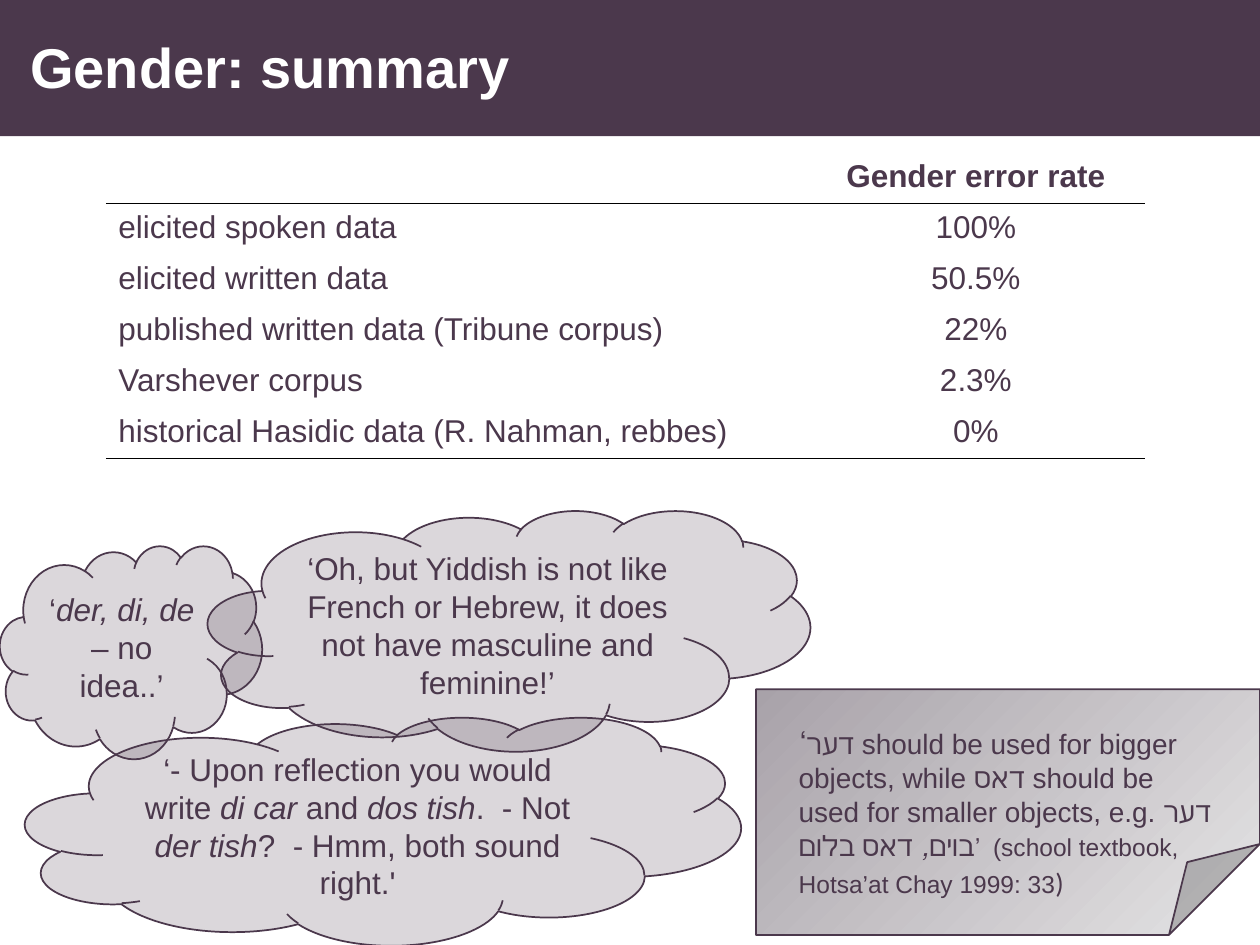
import pptx
import pptx.dml.color
import pptx.enum.dml
import pptx.enum.shapes
import pptx.enum.text
import pptx.oxml
import pptx.oxml.ns
import pptx.util
from pptx.util import Inches

PLUM = "4B384C"
WHITE = "FFFFFF"
NO_STYLE = "{2D5ABB26-0587-4C30-8999-92F81FD0307C}"
NAMESPACE = pptx.oxml.ns.nsdecls("a")
SHAPES = pptx.enum.shapes.MSO_SHAPE
ALIGN = pptx.enum.text.PP_ALIGN
ANCHOR = pptx.enum.text.MSO_ANCHOR


def rgb(value):
    return pptx.dml.color.RGBColor.from_string(value)


def add_run(paragraph, text, size=18, font="Arial", color=PLUM, bold=False, italic=False):
    run = paragraph.add_run()
    run.text = text
    run.font.size = pptx.util.Pt(size)
    run.font.name = font
    run.font.color.rgb = rgb(color)
    run.font.bold = bold
    run.font.italic = italic


presentation = pptx.Presentation()
presentation.slide_width = Inches(10)
presentation.slide_height = Inches(7.5)
slide = presentation.slides.add_slide(presentation.slide_layouts[5])
shapes = slide.shapes

# Header band, placed behind the title
band = shapes.add_shape(SHAPES.RECTANGLE, 0, 0, Inches(10), Inches(1.08))
band.shadow.inherit = False
band.fill.solid()
band.fill.fore_color.rgb = rgb(PLUM)
band.line.fill.background()
title = shapes.title
band._element.addnext(title._element)

title.left, title.top = Inches(0.24), Inches(0.31)
title.width, title.height = Inches(6), Inches(0.43)
heading = title.text_frame
heading.margin_left = heading.margin_right = heading.margin_top = heading.margin_bottom = 0
heading.vertical_anchor = ANCHOR.MIDDLE
heading.paragraphs[0].alignment = ALIGN.LEFT
add_run(heading.paragraphs[0], "Gender: summary", size=32, color=WHITE, bold=True)

# Textbook page
page = shapes.add_shape(SHAPES.FOLDED_CORNER, Inches(6), Inches(5.47), Inches(4), Inches(1.95))
page.shadow.inherit = False
fold = page._element.spPr.find(".//" + pptx.oxml.ns.qn("a:avLst"))
fold.append(pptx.oxml.parse_xml(f'<a:gd {NAMESPACE} name="adj" fmla="val 37000"/>'))
page.fill.gradient()
page.fill.gradient_angle = 315
for stop, shade in zip(page.fill.gradient_stops, ("A8A2A9", "E5E4E5")):
    stop.color.rgb = rgb(shade)
page.line.color.rgb = rgb(PLUM)
page.line.width = pptx.util.Pt(1)

# Speakers' remarks: place, then (text, italic) pieces
remarks = [
    ((0, 4.33, 2.08, 1.69),
     [("‘", False), ("der, di, de ", True), ("– no idea..’", False)]),
    ((1.65, 4.05, 4.78, 1.91),
     [("‘Oh, but Yiddish is not like French or Hebrew, it does not have "
       "masculine and feminine!’", False)]),
    ((0.2, 5.69, 5.68, 1.81),
     [("‘- Upon reflection you would write ", False), ("di car", True), (" and ", False),
      ("dos tish", True), (".  - Not ", False), ("der tish", True),
      ("?  - Hmm, both sound right.'", False)]),
]
for place, pieces in remarks:
    cloud = shapes.add_shape(SHAPES.CLOUD, *map(Inches, place))
    cloud.shadow.inherit = False
    cloud.fill.solid()
    cloud.fill.fore_color.rgb = rgb(PLUM)
    tint = cloud._element.spPr.find(".//" + pptx.oxml.ns.qn("a:srgbClr"))
    tint.append(pptx.oxml.parse_xml(f'<a:alpha {NAMESPACE} val="20000"/>'))
    cloud.line.color.rgb = rgb(PLUM)
    cloud.line.width = pptx.util.Pt(1)
    cloud.text_frame.word_wrap = True
    cloud.text_frame.vertical_anchor = ANCHOR.MIDDLE
    remark = cloud.text_frame.paragraphs[0]
    remark.alignment = ALIGN.CENTER
    for text, italic in pieces:
        add_run(remark, text, italic=italic)

quotation = shapes.add_textbox(Inches(6.24), Inches(5.69), Inches(3.49), Inches(1.51)).text_frame
quotation.word_wrap = True
rule = quotation.paragraphs[0]
add_run(rule, "‘")
add_run(rule, "דער should be used for bigger objects, while דאס should be used for "
              "smaller objects, e.g. דער בוים", size=16)
add_run(rule, ", ", size=16, italic=True)
add_run(rule, "דאס בלום", size=16)
add_run(rule, "’  (school textbook, Hotsa’at Chay 1999: 33", size=14)
add_run(rule, ")", size=16, font="Calibri")
add_run(rule, " ", font="Calibri")

# Error rates
rows = [
    ("", "Gender error rate"),
    ("elicited spoken data", "100%"),
    ("elicited written data", "50.5%"),
    ("published written data (Tribune corpus)", "22%"),
    ("Varshever corpus", "2.3%"),
    ("historical Hasidic data (R. Nahman, rebbes)", "0%"),
]
rates = shapes.add_table(len(rows), 2, Inches(0.84), Inches(1.21), Inches(8.25), Inches(2.43)).table
rates.first_row = rates.horz_banding = False
rates._tbl.tblPr.find(pptx.oxml.ns.qn("a:tableStyleId")).text = NO_STYLE
rates.columns[0].width = Inches(5.56)
rates.columns[1].width = Inches(2.69)
for row_number, row in enumerate(rows):
    for column_number, text in enumerate(row):
        cell = rates.cell(row_number, column_number)
        cell.fill.background()
        entry = cell.text_frame.paragraphs[0]
        if column_number == 1:
            entry.alignment = ALIGN.CENTER
        if text:
            add_run(entry, text, bold=row_number == 0)
        if row_number in (0, len(rows) - 1):
            cell._tc.get_or_add_tcPr().insert(0, pptx.oxml.parse_xml(
                f'<a:lnB {NAMESPACE} w="12700"><a:solidFill>'
                '<a:srgbClr val="000000"/></a:solidFill></a:lnB>'))

presentation.save("out.pptx")
